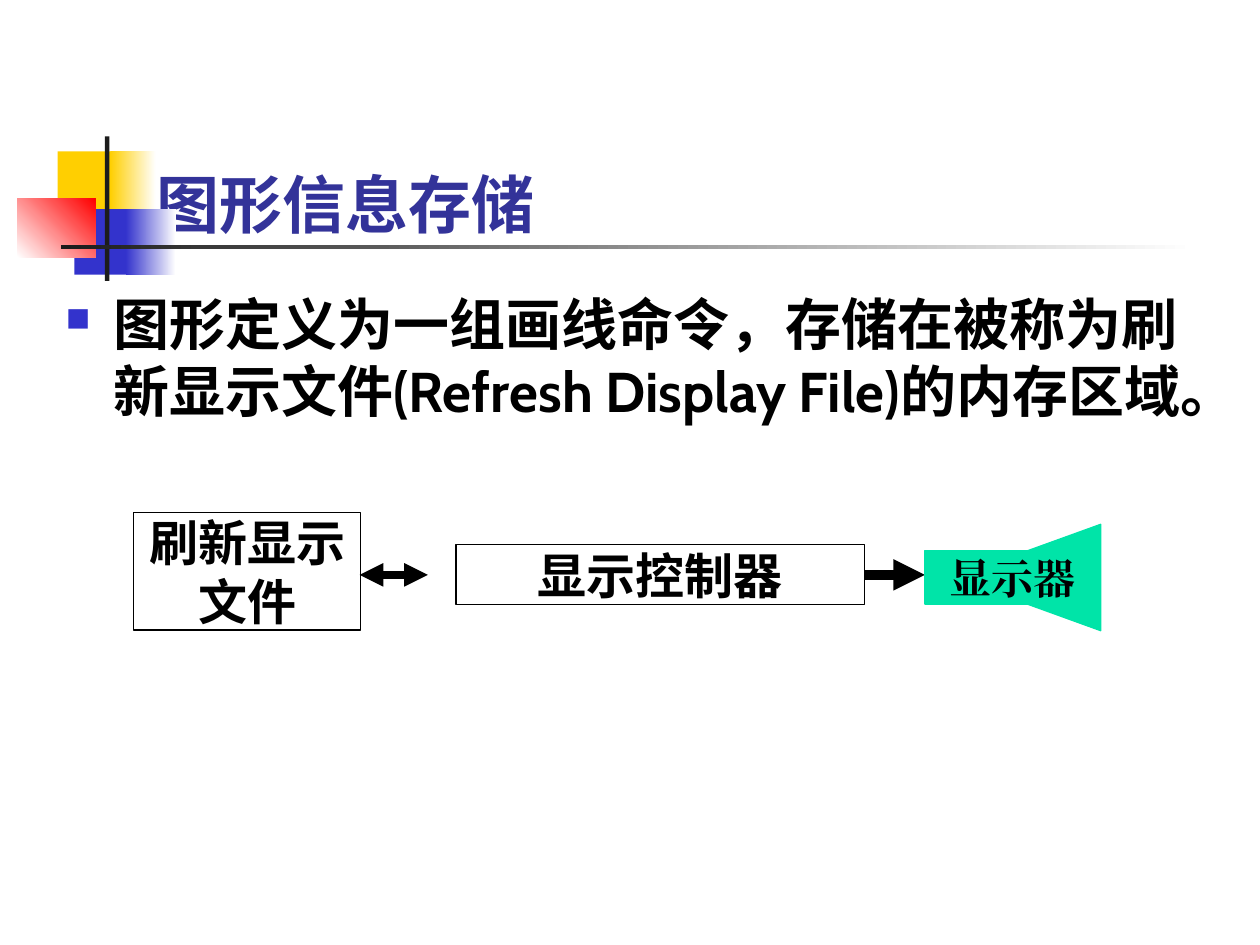
from lxml import etree
from pptx import Presentation
from pptx import util as u
from pptx.dml.color import RGBColor
from pptx.enum import shapes, text
from pptx.oxml.ns import qn

BLACK, WHITE, YELLOW, BLUE, RED = "000000", "FFFFFF", "FFCF01", "3333CC", "FF0000"
CHARCOAL, NAVY, GREEN = "1C1C1C", "333399", "00E4A8"


def color(hex_value):
    return RGBColor.from_string(hex_value)


def add_xml(parent, tag, **attributes):
    return etree.SubElement(parent, qn(tag), attributes)


class SlideBuilder:
    def __init__(self, slide, font="Cabin"):
        self.slide = slide
        self.font = font

    def set_text(self, frame, words, size, ink=BLACK, align=text.PP_ALIGN.LEFT, font=None, **frame_format):
        """Put one bold paragraph into a text frame and return it."""
        settings = {"word_wrap": True, "auto_size": text.MSO_AUTO_SIZE.NONE, **frame_format}
        for name, value in settings.items():
            setattr(frame, name, value)
        paragraph = frame.paragraphs[0]
        paragraph.alignment = align
        run = paragraph.add_run()
        run.text = words
        face = font or self.font
        for name, value in {"name": face, "size": u.Pt(size), "bold": True}.items():
            setattr(run.font, name, value)
        run.font.color.rgb = color(ink)
        add_xml(run._r.get_or_add_rPr(), "a:ea", typeface=face)
        return paragraph

    def title(self, words, box):
        title = self.slide.shapes.title
        for name, value in zip(("left", "top", "width", "height"), box):
            setattr(title, name, u.Pt(value))
        self.set_text(title.text_frame, words, 36, NAVY,
                      vertical_anchor=text.MSO_ANCHOR.BOTTOM)

    def bullet(self, words, box):
        body = self.slide.shapes.add_textbox(*map(u.Pt, box))
        properties = self.set_text(body.text_frame, words, 32)._p.get_or_add_pPr()
        for name, value in {"marL": u.Pt(27), "indent": u.Pt(-27)}.items():
            properties.set(name, str(int(value)))
        add_xml(add_xml(properties, "a:buClr"), "a:srgbClr", val=BLUE)
        add_xml(properties, "a:buSzPct", val="60000")
        add_xml(properties, "a:buChar", char="■")

    def paint(self, shape, fill=None, line=None):
        shape.shadow.inherit = False
        if fill:
            shape.fill.solid()
            shape.fill.fore_color.rgb = color(fill)
        else:
            shape.fill.background()
        if line:
            shape.line.color.rgb = color(line)
            shape.line.width = u.Pt(0.75)
        else:
            shape.line.fill.background()

    def rectangle(self, box, fill=None, line=None):
        shape = self.slide.shapes.add_shape(shapes.MSO_SHAPE.RECTANGLE, *map(u.Pt, box))
        self.paint(shape, fill, line)
        return shape

    def gradient(self, box, start, end, angle=0):
        fill = self.rectangle(box).fill
        fill.gradient()
        fill.gradient_angle = angle
        for stop, shade in zip(fill.gradient_stops, (start, end)):
            stop.color.rgb = color(shade)

    def labelled_box(self, words, box):
        frame = self.rectangle(box, line=BLACK).text_frame
        margins = dict.fromkeys(("margin_left", "margin_top", "margin_right", "margin_bottom"), 0)
        self.set_text(frame, words, 28, align=text.PP_ALIGN.CENTER,
                      vertical_anchor=text.MSO_ANCHOR.MIDDLE, **margins)

    def arrow(self, start, end, y, width, ends=("a:tailEnd",)):
        arrow = self.slide.shapes.add_connector(
            shapes.MSO_CONNECTOR.STRAIGHT, *map(u.Pt, (start, y, end, y)))
        arrow.line.color.rgb = color(BLACK)
        arrow.line.width = u.Pt(width)
        properties = arrow._element.spPr
        for end_tag in ends:
            add_xml(properties.find(qn("a:ln")), end_tag, type="triangle")
        add_xml(properties, "a:effectLst")

    def polygon(self, points, fill):
        corners = [(u.Pt(x), u.Pt(y)) for x, y in points]
        outline = self.slide.shapes.build_freeform(*corners[0])
        outline.add_line_segments(corners[1:], close=True)
        self.paint(outline.convert_to_shape(), fill, fill)

    def monitor(self, words, left, neck, right, middle):
        """Draw a tube that widens to a screen, with its label across both."""
        tube, screen = 15.2, 30.4
        self.polygon([(right, middle - screen), (neck, middle - tube),
                      (neck, middle + tube), (right, middle + screen)], GREEN)
        self.rectangle((left, middle - tube, neck - left + 1, 2 * tube), GREEN, GREEN)
        label = self.slide.shapes.add_textbox(
            *map(u.Pt, (left, middle - tube, right - left, 2 * tube)))
        self.set_text(label.text_frame, words, 24, align=text.PP_ALIGN.CENTER,
                      font="Times New Roman", vertical_anchor=text.MSO_ANCHOR.MIDDLE)


def main():
    deck = Presentation()
    deck.slide_width, deck.slide_height = u.Pt(720), u.Pt(540)
    page = SlideBuilder(deck.slides.add_slide(deck.slide_layouts[5]))

    page.rectangle((33, 86.5, 34.5, 37.5), YELLOW)
    page.gradient((63, 86.5, 26, 37.5), YELLOW, WHITE)
    page.rectangle((42.5, 119.5, 33, 37.5), BLUE)
    page.gradient((72, 119.5, 28.5, 37.5), BLUE, WHITE)
    page.gradient((10, 113.5, 44.5, 33.5), WHITE, RED, angle=45)
    page.rectangle((60, 78, 2.5, 82.5), CHARCOAL)
    page.gradient((35, 140, 648, 2.5), CHARCOAL, WHITE)

    page.title("图形信息存储", (82, 71.5, 323, 70))
    page.bullet("图形定义为一组画线命令，存储在被称为刷新显示文件(Refresh Display File)的内存区域。",
                (30.5, 162, 668, 191))

    flow_y = 328.5
    page.labelled_box("刷新显示文件", (76.5, 293, 129.5, 67))
    page.arrow(205.5, 244.5, flow_y, 4.5, ("a:headEnd", "a:tailEnd"))
    page.labelled_box("显示控制器", (260.5, 311, 233.5, 34.5))
    page.arrow(494, 528.5, flow_y, 6)
    page.monitor("显示器", 528.5, 587, 629, 330)

    deck.save("out.pptx")


if __name__ == "__main__":
    main()
